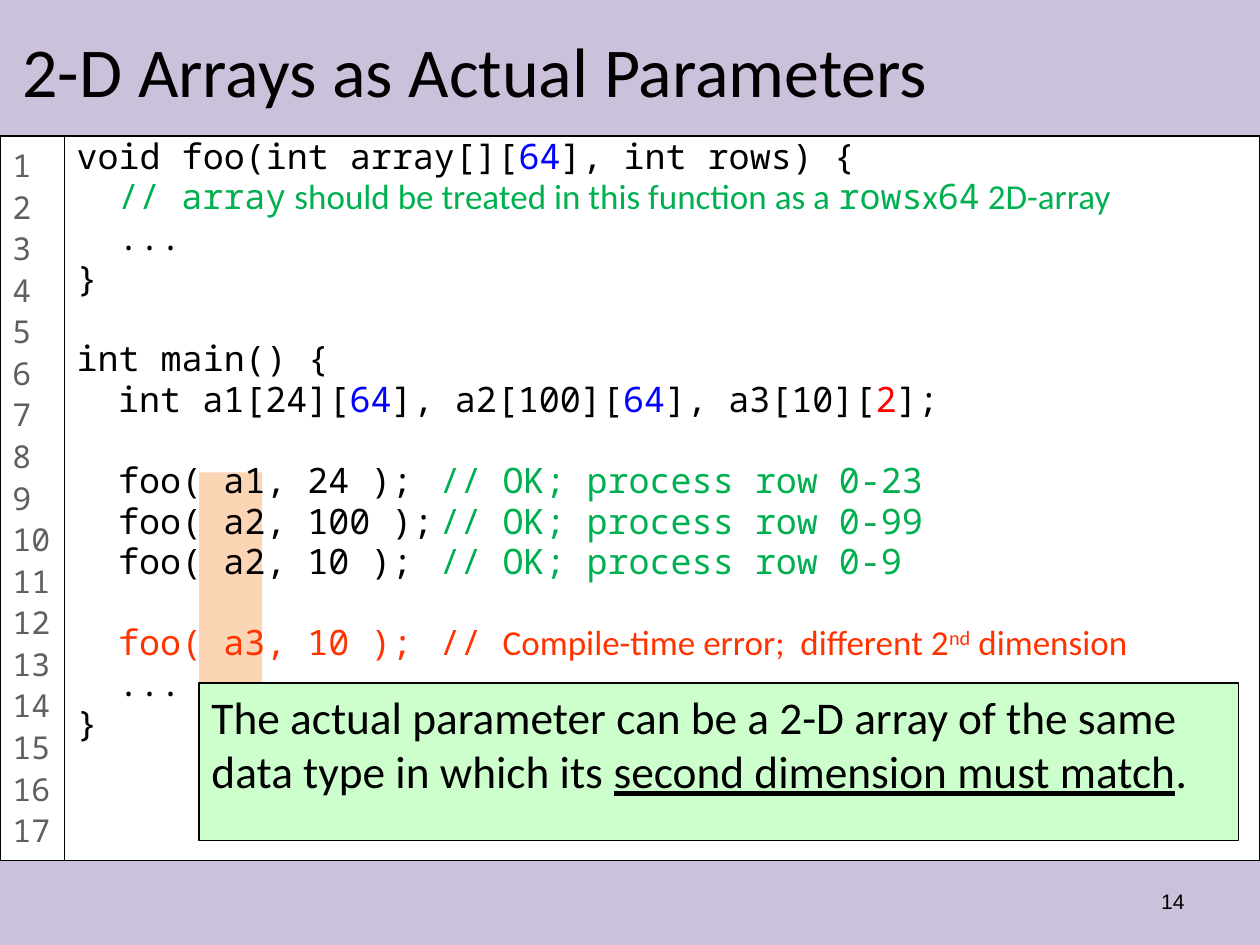
from pptx import Presentation
from pptx.dml.color import RGBColor
from pptx.enum.shapes import MSO_SHAPE
from pptx.enum.text import MSO_ANCHOR, PP_ALIGN
from pptx.util import Inches, Pt

MONO, SANS = "Noto Sans Mono", "Calibri"
BLACK, BLUE, GREEN, RED, ORANGE = "000000", "0000FF", "00B050", "FF0000", "FF3300"
HANGING = 0.38
CODE_INDENT = 0.33
LINE_GAP, BLOCK_GAP = 4, 27

# Each line: indented, starts a new block, runs of (text, colour, font)
CODE = [
    (False, False, [("void foo(int array[][", BLACK, MONO), ("64", BLUE, MONO),
                    ("], int rows) {", BLACK, MONO)]),
    (True, False, [("// array", GREEN, MONO),
                   (" should be treated in this function as a ", GREEN, SANS),
                   ("rows", GREEN, MONO), ("x", GREEN, SANS),
                   ("64", GREEN, MONO), (" 2D-array", GREEN, SANS)]),
    (True, False, [("...", BLACK, MONO)]),
    (False, False, [("}", BLACK, MONO)]),
    (False, True, [("int main() {", BLACK, MONO)]),
    (True, False, [("int a1[24][", BLACK, MONO), ("64", BLUE, MONO),
                   ("], a2[100][", BLACK, MONO), ("64", BLUE, MONO),
                   ("], a3[10][", BLACK, MONO), ("2", RED, MONO),
                   ("];", BLACK, MONO)]),
    (True, True, [("foo( a1, 24 );\t", BLACK, MONO),
                  ("// OK; process row 0-23", GREEN, MONO)]),
    (True, False, [("foo( a2, 100 );\t", BLACK, MONO),
                   ("// OK; process row 0-99", GREEN, MONO)]),
    (True, False, [("foo( a2, 10 );\t", BLACK, MONO),
                   ("// OK; process row 0-9", GREEN, MONO)]),
    (True, True, [("foo( a3, 10 );\t// ", ORANGE, MONO),
                  ("Compile-time error;  different 2", ORANGE, SANS),
                  ("nd", ORANGE, SANS), (" dimension", ORANGE, SANS)]),
    (True, False, [("...", BLACK, MONO)]),
    (False, False, [("}", BLACK, MONO)]),
]


def color(value):
    return RGBColor.from_string(value)


def style(font, size, name, value=BLACK):
    font.size = Pt(size)
    font.name = name
    font.color.rgb = color(value)


def add_box(slide, left, top, width, height, fill=None, outlined=False):
    shape = slide.shapes.add_shape(MSO_SHAPE.RECTANGLE, Inches(left), Inches(top),
                                   Inches(width), Inches(height))
    shape.shadow.inherit = False
    if fill:
        shape.fill.solid()
        shape.fill.fore_color.rgb = color(fill)
    else:
        shape.fill.background()
    if outlined:
        shape.line.color.rgb = color(BLACK)
        shape.line.width = Pt(0.75)
    else:
        shape.line.fill.background()
    shape.text_frame.word_wrap = True
    shape.text_frame.vertical_anchor = MSO_ANCHOR.TOP
    return shape


def add_label(slide, left, top, width, height, text, size, name, align):
    frame = slide.shapes.add_textbox(Inches(left), Inches(top), Inches(width),
                                     Inches(height)).text_frame
    frame.word_wrap = True
    frame.vertical_anchor = MSO_ANCHOR.MIDDLE
    paragraph = frame.paragraphs[0]
    paragraph.text = text
    paragraph.alignment = align
    style(paragraph.font, size, name)


def next_paragraph(frame, index):
    paragraph = frame.add_paragraph() if index else frame.paragraphs[0]
    paragraph.alignment = PP_ALIGN.LEFT
    return paragraph


def add_code(slide):
    frame = add_box(slide, 0.51, 1.08, 9.49, 5.75, outlined=True).text_frame
    for index, (indented, new_block, runs) in enumerate(CODE):
        paragraph = next_paragraph(frame, index)
        paragraph.line_spacing = 0.8
        paragraph.space_before = Pt(BLOCK_GAP if new_block else LINE_GAP)
        properties = paragraph._p.get_or_add_pPr()
        start = CODE_INDENT if indented else 0
        properties.set("marL", str(Inches(HANGING)))
        properties.set("indent", str(Inches(start - HANGING)))
        for text, value, name in runs:
            run = paragraph.add_run()
            run.text = text
            style(run.font, 20, name, value)
            if text == "nd":
                run._r.get_or_add_rPr().set("baseline", "30000")


def add_line_numbers(slide):
    frame = add_box(slide, 0, 1.08, 0.51, 5.75, "FFFFFF", outlined=True).text_frame
    frame.margin_right = 0
    for index in range(17):
        paragraph = next_paragraph(frame, index)
        paragraph.text = str(index + 1)
        paragraph.line_spacing = 1.1
        style(paragraph.font, 18, MONO, "5F5F5F")


def add_callout(slide):
    frame = add_box(slide, 1.58, 5.42, 8.25, 1.25, "CCFFCC", outlined=True).text_frame
    paragraph = next_paragraph(frame, 0)
    paragraph.space_before = Pt(5)
    style(paragraph.font, 25.9, SANS)
    for text, underlined in [
        ("The actual parameter can be a 2-D array of the same data type in which its ", False),
        ("second dimension must match", True),
        (".", False),
    ]:
        run = paragraph.add_run()
        run.text = text
        run.font.underline = underlined


def main():
    presentation = Presentation()
    presentation.slide_width, presentation.slide_height = Inches(10), Inches(7.5)
    slide = presentation.slides.add_slide(presentation.slide_layouts[6])

    # Header and footer bands, argument highlight
    add_box(slide, 0, 0, 10, 1.08, "CCC1DA")
    add_box(slide, 0, 6.83, 10, 0.67, "CCC1DA")
    add_box(slide, 1.58, 3.75, 0.5, 1.67, "FCD5B5")

    # Page number and title
    add_label(slide, 7.17, 6.95, 2.33, 0.4, "14", 12, "Arial", PP_ALIGN.RIGHT)
    add_label(slide, 0.08, 0.18, 9.75, 0.74, "2-D Arrays as Actual Parameters",
              40, SANS, PP_ALIGN.LEFT)

    # Code listing with its gutter and the note on top
    add_code(slide)
    add_line_numbers(slide)
    add_callout(slide)
    presentation.save("out.pptx")


if __name__ == "__main__":
    main()
